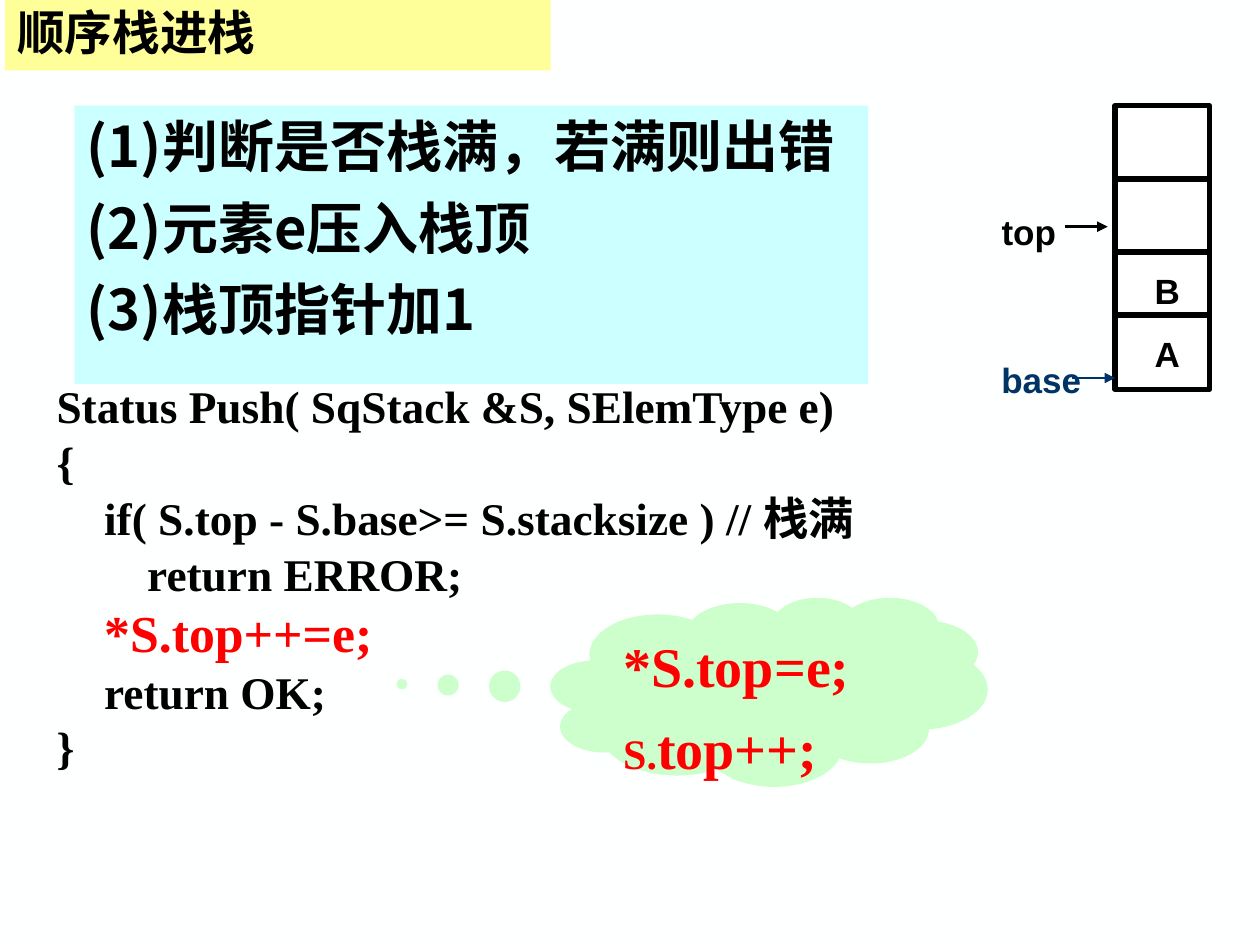
"""Builds the slide on pushing an element onto a sequential stack."""
from dataclasses import dataclass

from lxml import etree
from pptx import Presentation
from pptx.dml.color import RGBColor
from pptx.enum.shapes import MSO_CONNECTOR, MSO_SHAPE
from pptx.enum.text import MSO_ANCHOR, PP_ALIGN
from pptx.oxml.ns import qn
from pptx.util import Cm, Pt

RECTANGLE = MSO_SHAPE.RECTANGLE
CLOUD = MSO_SHAPE.CLOUD_CALLOUT
STRAIGHT = MSO_CONNECTOR.STRAIGHT
LEFT, CENTER = PP_ALIGN.LEFT, PP_ALIGN.CENTER
TOP, MIDDLE = MSO_ANCHOR.TOP, MSO_ANCHOR.MIDDLE


@dataclass(frozen=True)
class Theme:
    background: str = "FEFFFF"
    title_fill: str = "FFFF99"
    steps_fill: str = "CCFFFF"
    cloud_fill: str = "CCFFCC"
    stack_fill: str = "FFFFFF"
    ink: str = "000000"
    accent: str = "FF0000"
    base: str = "003366"
    cjk_font: str = "Noto Sans CJK SC"
    code_font: str = "Times New Roman"
    label_font: str = "Arial"
    title_size: float = 27.2
    steps_size: float = 32
    code_size: float = 25.9
    push_size: float = 29.6
    cloud_size: float = 32
    cloud_small: float = 24
    label_size: float = 20
    wall: float = 3
    arrow: float = 1.5


@dataclass(frozen=True)
class Layout:
    indent: float = 0
    spacing: float = 1.0
    before: float = 0
    align: PP_ALIGN = LEFT
    anchor: MSO_ANCHOR = TOP


class SlideBuilder:
    def __init__(self, slide, theme):
        self.theme = theme
        self.shapes = slide.shapes
        self.paint(slide.background.fill, theme.background)

    def paint(self, fill, color):
        fill.solid()
        fill.fore_color.rgb = RGBColor.from_string(color)

    def stroke(self, line, color, width):
        self.paint(line.fill, color)
        line.width = Pt(width)

    def start_group(self):
        self.shapes = self.shapes.add_group_shape().shapes

    def block(self, kind, box, fill, outline=None):
        shape = self.shapes.add_shape(kind, *map(Cm, box))
        shape.shadow.inherit = False
        self.paint(shape.fill, fill)
        if outline:
            self.stroke(shape.line, outline, self.theme.wall)
        else:
            shape.line.fill.background()
        return shape

    def textbox(self, box):
        return self.shapes.add_textbox(*map(Cm, box))

    def line(self, x1, y1, x2, y2, color, width, arrow=False):
        connector = self.shapes.add_connector(STRAIGHT, Cm(x1), Cm(y1), Cm(x2), Cm(y2))
        self.stroke(connector.line, color, width)
        properties = connector._element.spPr
        if arrow:
            outline = properties.find(qn("a:ln"))
            etree.SubElement(outline, qn("a:tailEnd"), type="triangle")
        etree.SubElement(properties, qn("a:effectLst"))

    def put_text(self, shape, lines, font, layout):
        """Fill a shape with lines, each a list of (text, size, color) parts."""
        frame = shape.text_frame
        frame.word_wrap = True
        frame.vertical_anchor = layout.anchor
        for number, parts in enumerate(lines):
            paragraph = frame.paragraphs[0] if number == 0 else frame.add_paragraph()
            paragraph.alignment = layout.align
            paragraph.line_spacing = layout.spacing
            if number:
                paragraph.space_before = Pt(layout.before)
            if layout.indent:
                self.hang(paragraph, layout.indent)
            for text, size, color in parts:
                self.add_run(paragraph, text, size, color, font)

    def hang(self, paragraph, indent):
        properties = paragraph._p.get_or_add_pPr()
        properties.set("marL", str(Cm(indent)))
        properties.set("indent", str(-Cm(indent)))
        tabs = etree.SubElement(properties, qn("a:tabLst"))
        for stop in range(8):
            etree.SubElement(tabs, qn("a:tab"), pos=str(Cm(2.54 * stop)), algn="l")

    def add_run(self, paragraph, text, size, color, font):
        run = paragraph.add_run()
        run.text = text
        run.font.name = font
        run.font.size = Pt(size)
        run.font.bold = True
        run.font.color.rgb = RGBColor.from_string(color)
        east_asian = etree.Element(qn("a:ea"), typeface=self.theme.cjk_font)
        run._r.rPr.find(qn("a:latin")).addnext(east_asian)


def add_steps_and_title(builder, theme):
    steps = builder.block(RECTANGLE, (1.5, 2.13, 16, 5.61), theme.steps_fill)
    wording = ["(1)判断是否栈满，若满则出错", "(2)元素e压入栈顶", "(3)栈顶指针加1"]
    builder.put_text(steps, [[(step, theme.steps_size, theme.ink)] for step in wording],
                     theme.cjk_font, Layout(indent=1.7, before=8))
    title = builder.block(RECTANGLE, (0.1, 0, 11, 1.42), theme.title_fill)
    builder.put_text(title, [[("顺序栈进栈", theme.title_size, theme.ink)]],
                     theme.cjk_font, Layout(spacing=0.9, anchor=MIDDLE))


def add_code(builder, theme):
    code = [
        "Status Push( SqStack &S, SElemType e)",
        "{",
        "\tif( S.top - S.base>= S.stacksize ) // 栈满",
        "        return ERROR;",
        "\t*S.top++=e;",
        "\treturn OK;",
        "}",
    ]
    plain, push = (theme.code_size, theme.ink), (theme.push_size, theme.accent)
    lines = [[(text, *(push if "++" in text else plain))] for text in code]
    builder.put_text(builder.textbox((0.89, 7.72, 24, 8.13)), lines,
                     theme.code_font, Layout(indent=0.96, spacing=0.8, before=7))


def add_cloud(builder, theme):
    cloud = builder.block(CLOUD, (11.1, 12.04, 8.81, 3.81), theme.cloud_fill)
    cloud.adjustments[0], cloud.adjustments[1] = -0.84, -0.04
    lines = [
        [("*S.top=e;", theme.cloud_size, theme.accent)],
        [("S.", theme.cloud_small, theme.accent), ("top++;", theme.cloud_size, theme.accent)],
    ]
    builder.put_text(cloud, lines, theme.code_font, Layout(indent=0.96, before=8))


def add_stack(builder, theme):
    left, width = 22.48, 1.9
    builder.start_group()
    builder.block(RECTANGLE, (left, 2.13, width, 5.72), theme.stack_fill, theme.ink)
    for divider in (3.61, 5.08, 6.35):
        builder.line(left, divider, left + width, divider, theme.ink, theme.wall)
    builder.line(21.62, 7.62, left, 7.62, theme.base, theme.arrow, arrow=True)
    builder.line(21.46, 4.57, 22.33, 4.57, theme.ink, theme.arrow, arrow=True)
    labels = [
        ("A", 22.68, 6.58, 1.7, theme.ink),
        ("B", 22.68, 5.31, 1.7, theme.ink),
        ("top", 19.05, 4.11, 3.38, theme.ink),
        ("base", 19.3, 7.11, 3.38, theme.base),
    ]
    for label, x, y, label_width, color in labels:
        builder.put_text(builder.textbox((x, y, label_width, 1.12)),
                         [[(label, theme.label_size, color)]],
                         theme.label_font, Layout(align=CENTER))


def main():
    theme = Theme()
    deck = Presentation()
    deck.slide_width, deck.slide_height = Cm(25.4), Cm(19.05)
    builder = SlideBuilder(deck.slides.add_slide(deck.slide_layouts[6]), theme)
    for add_part in (add_steps_and_title, add_code, add_cloud, add_stack):
        add_part(builder, theme)
    deck.save("out.pptx")


if __name__ == "__main__":
    main()
